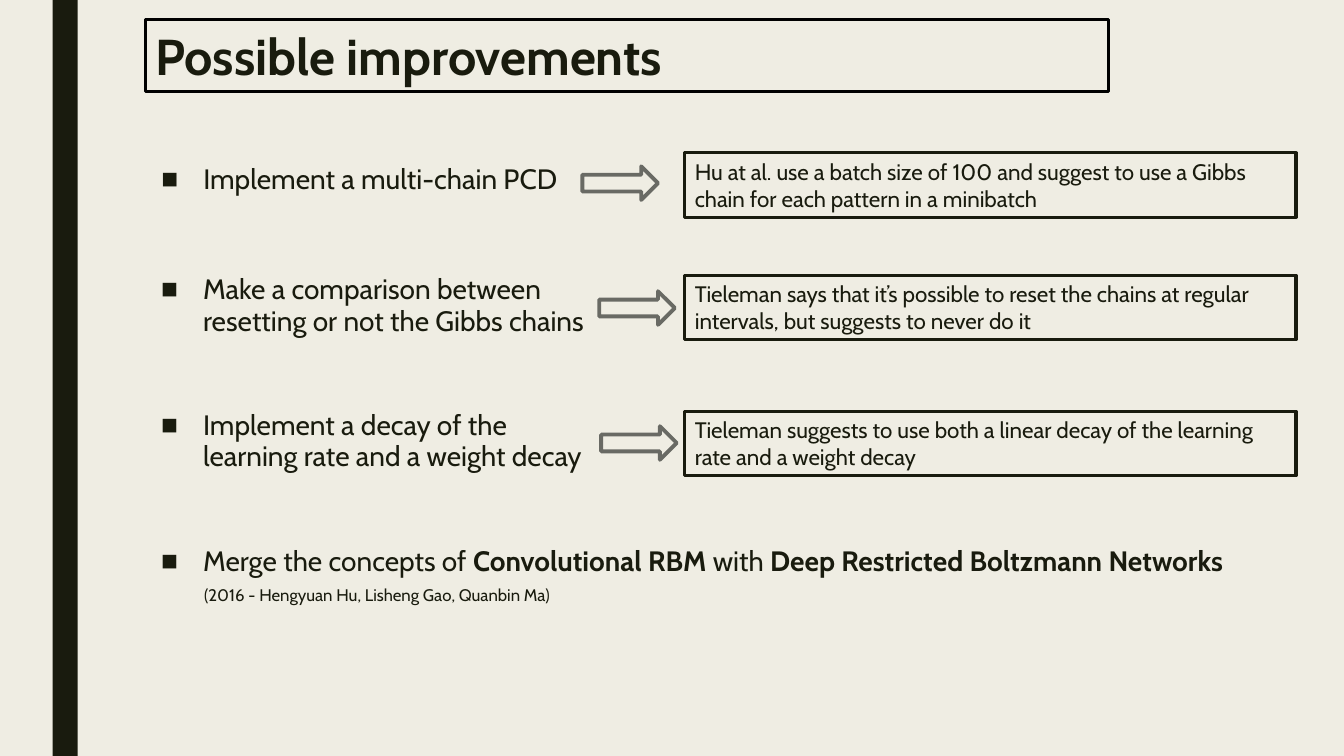
"""Build the slide on possible improvements, pairing each proposal with a remark."""
from dataclasses import dataclass

from lxml.etree import SubElement
from pptx import Presentation
from pptx.dml.color import RGBColor
from pptx.enum.shapes import MSO_SHAPE
from pptx.enum.text import MSO_ANCHOR, MSO_AUTO_SIZE, PP_ALIGN
from pptx.oxml.ns import qn
from pptx.util import Pt


@dataclass(frozen=True)
class Theme:
    font: str = "Cabin"
    paper: str = "EFEDE3"
    ink: str = "191B0E"
    frame: str = "000000"
    arrow: str = "696A64"
    title_size: float = 36
    proposal_size: float = 20
    remark_size: float = 16
    citation_size: float = 12


def write_text(frame, theme, runs, *, size, bold=False, bullet=False,
               anchor=MSO_ANCHOR.TOP, fit=MSO_AUTO_SIZE.NONE, wrap=True):
    frame.word_wrap = wrap
    frame.auto_size = fit
    frame.vertical_anchor = anchor
    paragraph = frame.paragraphs[0]
    paragraph.alignment = PP_ALIGN.LEFT
    for words, strong in [(runs, bold)] if isinstance(runs, str) else runs:
        run = paragraph.add_run()
        run.text = words
        run.font.name = theme.font
        run.font.size = Pt(size)
        run.font.bold = strong
        run.font.color.rgb = RGBColor.from_string(theme.ink)
    if bullet:
        paragraph.line_spacing = 0.94
        paragraph.space_before = Pt(10)
        paragraph.space_after = Pt(2)
        properties = paragraph._p.get_or_add_pPr()
        properties.set("marL", str(Pt(30)))
        properties.set("indent", str(Pt(-30)))
        SubElement(properties, qn("a:buFont"), typeface="Arial")
        SubElement(properties, qn("a:buChar"), char="■")


class SlideBuilder:
    def __init__(self, slide, theme):
        self.slide = slide
        self.theme = theme
        slide.background.fill.solid()
        slide.background.fill.fore_color.rgb = RGBColor.from_string(theme.paper)

    def place(self, shape, box):
        shape.left, shape.top, shape.width, shape.height = map(Pt, box)

    def outline(self, shape, color, width):
        shape.fill.background()
        shape.line.color.rgb = RGBColor.from_string(color)
        shape.line.width = Pt(width)

    def preset(self, kind, box):
        shape = self.slide.shapes.add_shape(kind, *map(Pt, box))
        shape.shadow.inherit = False
        return shape

    def sidebar(self, box):
        band = self.preset(MSO_SHAPE.RECTANGLE, box)
        band.fill.solid()
        band.fill.fore_color.rgb = RGBColor.from_string(self.theme.ink)
        band.line.fill.background()

    def title(self, heading, box):
        title = self.slide.shapes.title
        self.place(title, box)
        self.outline(title, self.theme.frame, 2.25)
        write_text(title.text_frame, self.theme, heading, bold=True,
                   size=self.theme.title_size, anchor=MSO_ANCHOR.MIDDLE)

    def proposal(self, runs, box, holder=None):
        holder = holder or self.slide.shapes.add_textbox(0, 0, 0, 0)
        self.place(holder, box)
        write_text(holder.text_frame, self.theme, runs, bullet=True,
                   size=self.theme.proposal_size)

    def remark(self, words, box):
        remark = self.preset(MSO_SHAPE.RECTANGLE, box)
        self.outline(remark, self.theme.ink, 2.25)
        write_text(remark.text_frame, self.theme, words,
                   size=self.theme.remark_size, fit=MSO_AUTO_SIZE.SHAPE_TO_FIT_TEXT)

    def arrow(self, box):
        self.outline(self.preset(MSO_SHAPE.RIGHT_ARROW, box), self.theme.arrow, 2.75)

    def citation(self, words, box):
        citation = self.slide.shapes.add_textbox(*map(Pt, box))
        write_text(citation.text_frame, self.theme, words, wrap=False,
                   size=self.theme.citation_size, fit=MSO_AUTO_SIZE.SHAPE_TO_FIT_TEXT)


def main():
    deck = Presentation()
    deck.slide_width, deck.slide_height = Pt(960), Pt(540)
    slide = deck.slides.add_slide(deck.slide_layouts[1])
    builder = SlideBuilder(slide, Theme())
    builder.sidebar((37.5, 0, 18, 540))
    builder.title("Possible improvements", (103.7, 14.2, 688.3, 51))

    improvements = [
        ("Implement a multi-chain PCD", 113.8, 36,
         "Hu at al. use a batch size of 100 and suggest to use a Gibbs "
         "chain for each pattern in a minibatch", 109.2, (416, 118.8)),
        ("Make a comparison between resetting or not the Gibbs chains", 192.3, 55.4,
         "Tieleman says that it’s possible to reset the chains at regular "
         "intervals, but suggests to never do it", 196.7, (428, 208)),
        ("Implement a decay of the learning rate and a weight decay", 289.4, 55.4,
         "Tieleman suggests to use both a linear decay of the learning "
         "rate and a weight decay", 293.8, (429.4, 304.4)),
    ]
    holders = [slide.placeholders[1], None, None]
    for holder, improvement in zip(holders, improvements):
        proposal, top, height, remark, remark_top, arrow_corner = improvement
        builder.proposal(proposal, (108, top, 325.4, height), holder)
        builder.remark(remark, (489.2, remark_top, 436.5, 46))
        builder.arrow((*arrow_corner, 54, 24))

    builder.proposal([("Merge the concepts of ", False), ("Convolutional RBM ", True),
                      ("with ", False), ("Deep Restricted Boltzmann Networks", True)],
                     (108, 386.6, 831.6, 55.4))
    builder.citation("(2016 - Hengyuan Hu, Lisheng Gao, Quanbin Ma)",
                     (138.7, 414.2, 263.5, 21.8))
    deck.save("out.pptx")


if __name__ == "__main__":
    main()
